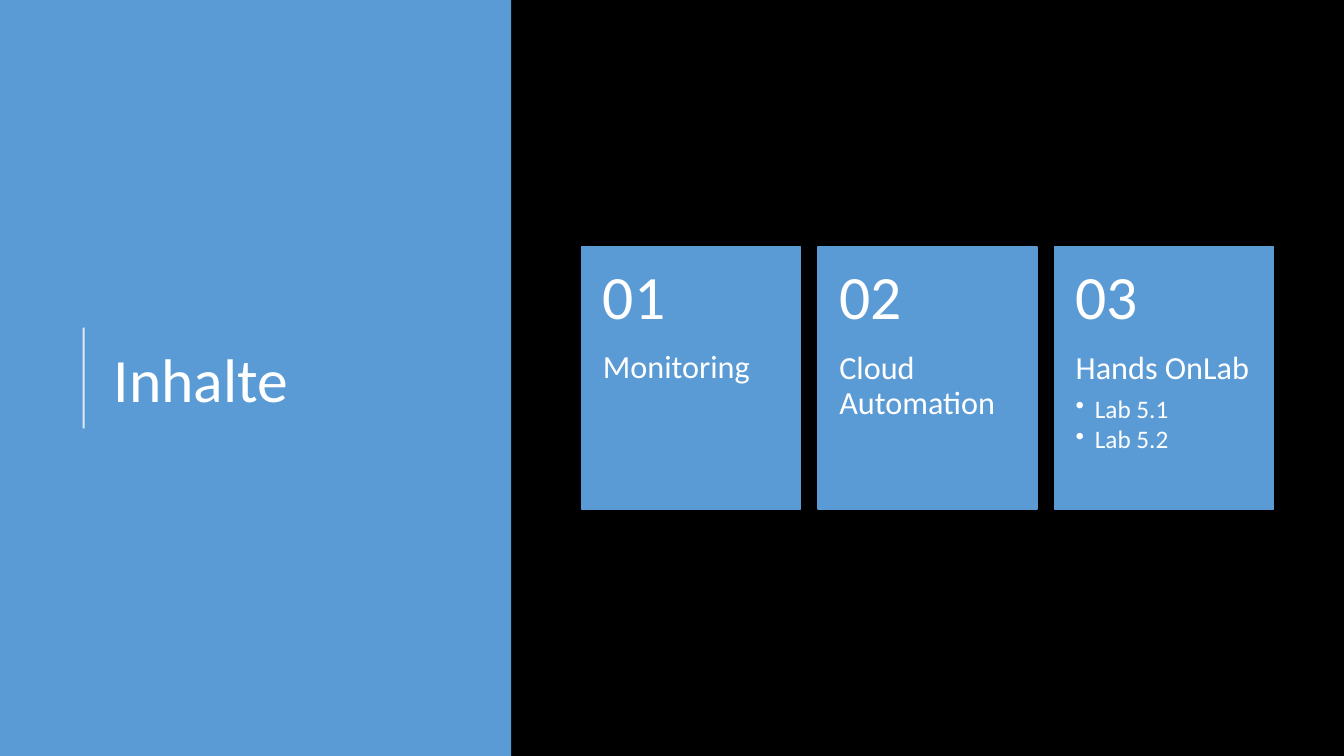
from pptx import Presentation
from pptx.dml.color import RGBColor
from pptx.enum.shapes import MSO_CONNECTOR as Connector, MSO_SHAPE as Shape
from pptx.enum.text import MSO_ANCHOR as Anchor, PP_ALIGN as Align
from pptx.oxml.ns import qn
from pptx.util import Inches, Pt
from lxml.etree import SubElement

BLUE, WHITE, BLACK = "5B9BD5", "FFFFFF", "000000"


def paint(color_format, color):
    color_format.rgb = RGBColor.from_string(color)


def add_text(page, place, insets, anchor, lines):
    """Add a text box; each line is (text, size, space after, bulleted)."""
    box = page.shapes.add_textbox(*map(Inches, place))
    frame = box.text_frame
    frame.word_wrap = True
    frame.vertical_anchor = anchor
    (frame.margin_left, frame.margin_top,
     frame.margin_right, frame.margin_bottom) = map(Inches, insets)
    for number, (text, size, space, bulleted) in enumerate(lines):
        para = frame.add_paragraph() if number else frame.paragraphs[0]
        para.alignment = Align.LEFT
        para.line_spacing = 0.9
        para.space_after = Pt(space)
        if bulleted:
            para.level = 1
            props = para._p.get_or_add_pPr()
            props.set("marL", str(Inches(0.19)))
            props.set("indent", str(-Inches(0.19)))
            SubElement(props, qn("a:buChar"), char="•")
        span = para.add_run()
        span.text = text
        span.font.name = "Calibri"
        span.font.size = Pt(size)
        paint(span.font.color, WHITE)


deck = Presentation()
deck.slide_width, deck.slide_height = Inches(13.33), Inches(7.5)
page = deck.slides.add_slide(deck.slide_layouts[6])
page.background.fill.solid()
paint(page.background.fill.fore_color, BLACK)

# Blue panels: the title side, then one card per topic
card_left, card_top, card_width, card_height = 5.77, 2.45, 2.17, 2.6
card_step, number_height = 2.345, 1.04
card_lefts = [card_left + card_step * index for index in range(3)]
panels = [(0, 0, 5.07, 7.5)]
panels += [(left, card_top, card_width, card_height) for left in card_lefts]
for index, place in enumerate(panels):
    panel = page.shapes.add_shape(Shape.RECTANGLE, *map(Inches, place))
    panel.shadow.inherit = False
    panel.fill.solid()
    paint(panel.fill.fore_color, BLUE)
    if index == 0:
        panel.line.fill.background()
    else:
        panel.line.width = Pt(1)
        paint(panel.line.color, BLUE)

# Title with its translucent rule
rule = page.shapes.add_connector(
    Connector.STRAIGHT, Inches(0.83), Inches(4.25), Inches(0.83), Inches(3.25))
rule.line.width = Pt(1.5)
paint(rule.line.color, WHITE)
rule_color = rule.line._ln.find(".//" + qn("a:srgbClr"))
SubElement(rule_color, qn("a:alpha"), val="80000")
SubElement(rule._element.spPr, qn("a:effectLst"))
add_text(page, (1.03, 0.78, 3.69, 6.02), (0.1, 0.05, 0.1, 0.05),
         Anchor.MIDDLE, [("Inhalte", 44, 0, False)])

# Card contents: number above, topic and labs below
topics = [
    ("Monitoring", []),
    ("Cloud Automation", []),
    ("Hands OnLab", ["Lab 5.1", "Lab 5.2"]),
]
for number, (left, (topic, labs)) in enumerate(zip(card_lefts, topics), 1):
    lines = [(topic, 23, 7, False)]
    lines += [(lab, 18, 2.5, True) for lab in labs]
    add_text(page, (left, card_top + number_height, card_width,
                    card_height - number_height),
             (0.21, 0, 0.21, 0.36), Anchor.TOP, lines)
    add_text(page, (left, card_top, card_width, number_height),
             (0.21, 0.18, 0.21, 0.18), Anchor.MIDDLE,
             [(f"{number:02}", 44, 0, False)])

deck.save("out.pptx")
